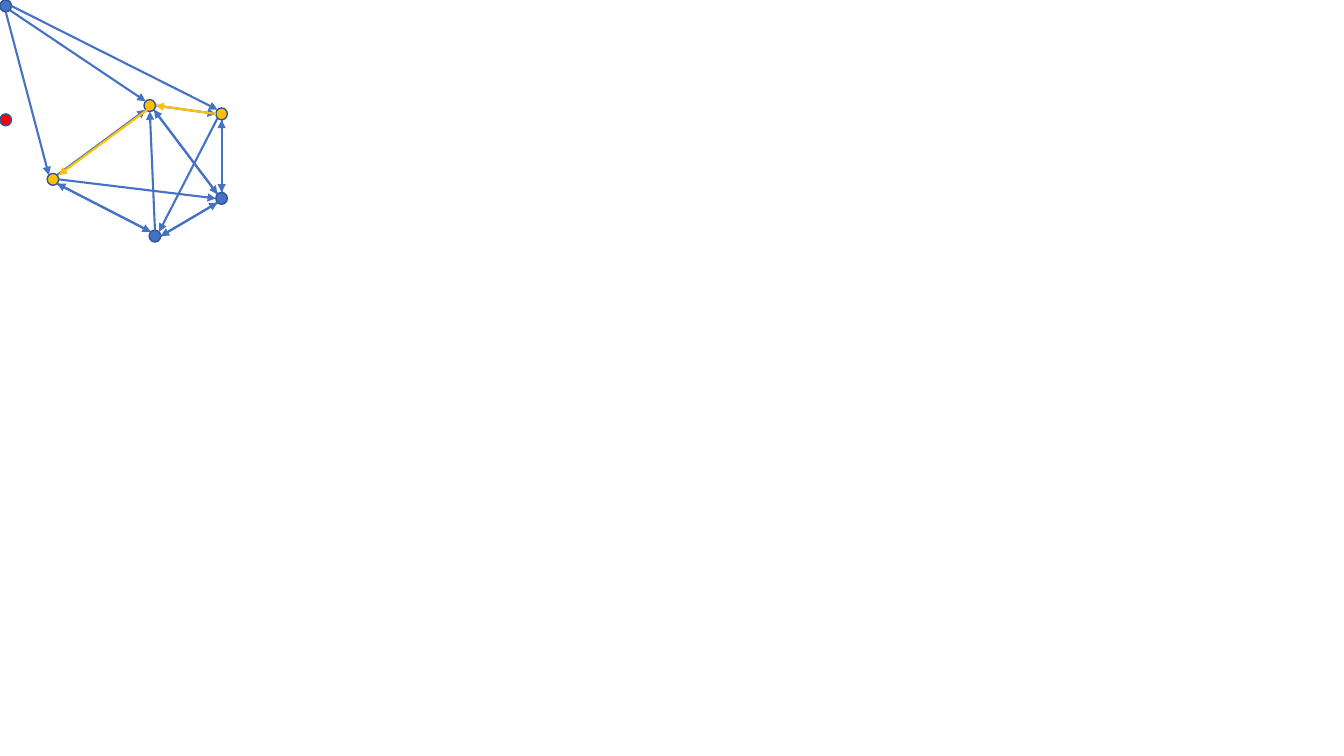
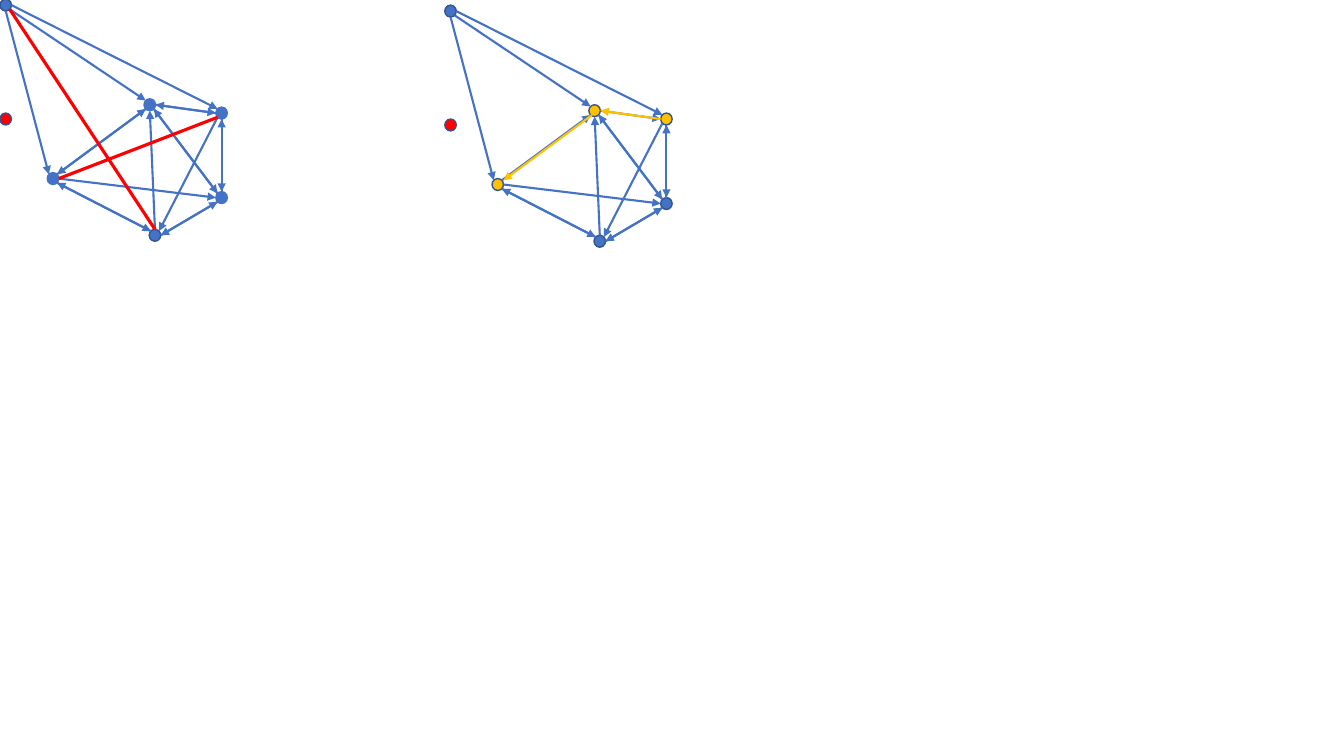
from dataclasses import dataclass
from math import cos, radians, sin

from lxml.etree import SubElement
from pptx import Presentation
from pptx.dml.color import RGBColor as Rgb
from pptx.enum.shapes import MSO_CONNECTOR as Connector, MSO_SHAPE as Shape
from pptx.oxml.ns import qn
from pptx.util import Cm, Pt


@dataclass(frozen=True)
class Theme:
    blue: Rgb = Rgb(0x44, 0x72, 0xC4)
    outline: Rgb = Rgb(0x32, 0x54, 0x91)
    red: Rgb = Rgb(0xFF, 0x00, 0x00)
    gold: Rgb = Rgb(0xFF, 0xC0, 0x00)
    outline_width: float = 1
    edge_width: float = 1.5
    cross_width: float = 2.25
    dot_width: float = 0.29
    dot_height: float = 0.3


THEME = Theme()

# Top left corner of each dot, in centimetres
NODES = {
    "source": (0, 0),
    "isolated": (0, 2.87),
    "top": (3.63, 2.51),
    "left": (1.19, 4.37),
    "bottom": (3.76, 5.8),
    "right": (5.44, 2.72),
    "lower": (5.44, 4.85),
}

# Clockwise angle of each compass point on a dot
ANGLES = {
    side: 45 * step
    for step, side in enumerate(["E", "SE", "S", "SW", "W", "NW", "N", "NE"])
}

# Start node, side of it, end node, side of it
EDGES = [
    ("source", "E", "right", "NW"),
    ("source", "SE", "top", "NW"),
    ("left", "E", "lower", "W"),
    ("left", "SE", "bottom", "NW"),
    ("source", "S", "left", "NW"),
    ("top", "SE", "lower", "NW"),
    ("top", "E", "right", "W"),
    ("left", "NE", "top", "SW"),
    ("bottom", "NW", "left", "SE"),
    ("bottom", "N", "top", "S"),
    ("bottom", "E", "lower", "SW"),
    ("lower", "NW", "top", "SE"),
    ("lower", "SW", "bottom", "E"),
    ("lower", "N", "right", "S"),
    ("right", "W", "top", "E"),
    ("right", "S", "lower", "N"),
    ("right", "SW", "bottom", "NE"),
    ("top", "SW", "left", "NE"),
]

CROSSING_LINES = [
    ("bottom", "N", "source", "SE"),
    ("right", "SW", "left", "E"),
]

ROUTE_NODES = {"right", "top", "left"}
ROUTE_EDGES = {("right", "top"), ("top", "left")}
ROUTE_SHIFT = {("top", "left"): 0.04}
SOFT_NODES = {"top", "left", "right", "lower"}


def site(node, side, origin, shift=0):
    """Return the point, in centimetres, at a compass side of a dot."""
    left, top = NODES[node]
    angle = radians(ANGLES[side])
    x = origin[0] + left + shift + THEME.dot_width / 2 * (1 + cos(angle))
    y = origin[1] + top + THEME.dot_height / 2 * (1 + sin(angle))
    return x, y


def add_dot(page, node, origin, fill, outline):
    left, top = NODES[node]
    dot = page.shapes.add_shape(
        Shape.OVAL, Cm(origin[0] + left), Cm(origin[1] + top),
        Cm(THEME.dot_width), Cm(THEME.dot_height))
    dot.shadow.inherit = False
    dot.fill.solid()
    dot.fill.fore_color.rgb = fill
    dot.line.color.rgb = outline
    dot.line.width = Pt(THEME.outline_width)


def add_edge(page, edge, origin, color, width, arrow=True, shift=0):
    start, start_side, end, end_side = edge
    points = (*site(start, start_side, origin, shift),
              *site(end, end_side, origin, shift))
    line = page.shapes.add_connector(
        Connector.STRAIGHT, *(Cm(value) for value in points))
    line.line.color.rgb = color
    line.line.width = Pt(width)
    if arrow:
        SubElement(line.line._get_or_add_ln(), qn("a:tailEnd"), type="triangle")
    SubElement(line._element.spPr, qn("a:effectLst"))


def add_graph(page, origin, route=False):
    """Draw the dots and arrows, with the route in gold if asked for."""
    for node in NODES:
        fill, outline = THEME.blue, THEME.outline
        if node == "isolated":
            fill = THEME.red
        elif route and node in ROUTE_NODES:
            fill = THEME.gold
        elif not route and node in SOFT_NODES:
            outline = THEME.blue
        add_dot(page, node, origin, fill, outline)
    for edge in EDGES:
        pair = (edge[0], edge[2])
        on_route = route and pair in ROUTE_EDGES
        add_edge(page, edge, origin,
                 THEME.gold if on_route else THEME.blue, THEME.edge_width,
                 shift=ROUTE_SHIFT.get(pair, 0) if on_route else 0)


def add_crossing_lines(page, origin):
    for edge in CROSSING_LINES:
        add_edge(page, edge, origin, THEME.red, THEME.cross_width, arrow=False)


def main():
    deck = Presentation()
    deck.slide_width, deck.slide_height = Cm(33.87), Cm(19.05)
    blank = deck.slide_layouts[6]

    route_page = deck.slides.add_slide(blank)
    add_graph(route_page, (0, 0), route=True)

    compare_page = deck.slides.add_slide(blank)
    plain_origin = (0, -0.02)
    add_graph(compare_page, plain_origin)
    add_graph(compare_page, (11.21, 0.13), route=True)
    add_crossing_lines(compare_page, plain_origin)

    deck.save("out.pptx")


if __name__ == "__main__":
    main()
